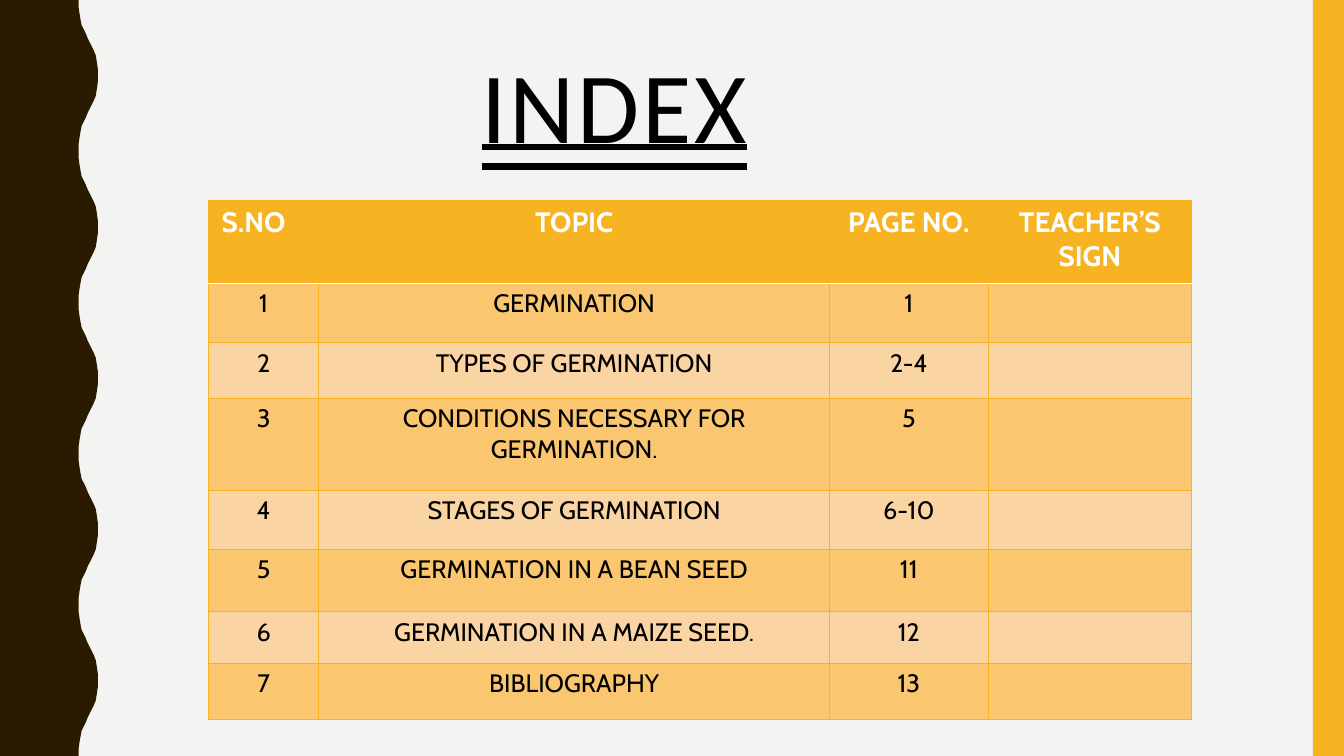
import pptx
import pptx.util
import pptx.dml.color
import pptx.enum.shapes
import pptx.enum.text
import pptx.oxml
import pptx.oxml.ns
from dataclasses import dataclass

Inches = pptx.util.Inches
Pt = pptx.util.Pt
CENTER = pptx.enum.text.PP_ALIGN.CENTER


@dataclass(frozen=True)
class Theme:
    """Colours, fonts and type sizes."""
    paper: str = "F3F3F2"
    bark: str = "2A1A00"
    gold: str = "F8B323"
    amber: str = "FAC770"
    peach: str = "FAD4A3"
    ink: str = "000000"
    white: str = "FFFFFF"
    face: str = "Cabin"
    display: str = "Calibri"
    title: int = 72
    head: int = 20
    body: int = 18


THEME = Theme()
HEAD = ("S.NO", "TOPIC", "PAGE NO.", "TEACHER’S SIGN")
TOPICS = (
    ("GERMINATION", "1"),
    ("TYPES OF GERMINATION", "2-4"),
    ("CONDITIONS NECESSARY FOR GERMINATION.", "5"),
    ("STAGES OF GERMINATION", "6-10"),
    ("GERMINATION IN A BEAN SEED", "11"),
    ("GERMINATION IN A MAIZE SEED.", "12"),
    ("BIBLIOGRAPHY", "13"),
)
COLS = (1.09, 5.07, 1.57, 2.02)
ROWS = (0.82, 0.59, 0.55, 0.91, 0.59, 0.62, 0.51, 0.56)
# One swell of the wavy edge, trough to crest: (inset from crest, drop)
SWELL = ((0.19, 0), (0.19, 0.07), (0.18, 0.14), (0.17, 0.2), (0.16, 0.25),
         (0.14, 0.29), (0.12, 0.33), (0.1, 0.38), (0.08, 0.42), (0.06, 0.46),
         (0.04, 0.5), (0.02, 0.55), (0.01, 0.61), (0, 0.68), (0, 0.75))


def color(code):
    """Turn a hex code into a colour."""
    return pptx.dml.color.RGBColor.from_string(code)


def paint(shape, code):
    """Give a shape a flat fill, no line and no shadow."""
    shape.shadow.inherit = False
    shape.fill.solid()
    shape.fill.fore_color.rgb = color(code)
    shape.line.fill.background()


def style(par, face, size, code, bold=False):
    """Centre a paragraph and format its runs."""
    par.alignment = CENTER
    for run in par.runs:
        font = run.font
        font.name, font.size, font.bold = face, Pt(size), bold
        font.color.rgb = color(code)


def add_wave(slide, left, top, width, height):
    """Draw the band with a wavy right edge."""
    step = SWELL[-1][1]
    edge = []
    for k in range(round(height / step)):
        down = k % 2 == 0
        for inset, drop in SWELL if down else SWELL[::-1]:
            y = k * step + (drop if down else step - drop)
            edge.append((Inches(left + width - inset), Inches(top + y)))
    pen = slide.shapes.build_freeform(Inches(left), Inches(top))
    pen.add_line_segments(edge + [(Inches(left), Inches(top + height))])
    paint(pen.convert_to_shape(), THEME.bark)


def add_strip(slide, *box):
    """Draw the gold strip."""
    kind = pptx.enum.shapes.MSO_SHAPE.RECTANGLE
    paint(slide.shapes.add_shape(kind, *map(Inches, box)), THEME.gold)


def add_title(slide, *box):
    """Write the heading with a double underline."""
    frame = slide.shapes.add_textbox(*map(Inches, box)).text_frame
    frame.word_wrap = True
    frame.vertical_anchor = pptx.enum.text.MSO_ANCHOR.TOP
    frame.text = "INDEX"
    par = frame.paragraphs[0]
    par.line_spacing = 0.9
    style(par, THEME.display, THEME.title, THEME.ink)
    run = par.runs[0]
    run.font.underline = pptx.enum.text.MSO_UNDERLINE.DOUBLE_LINE
    run._r.get_or_add_rPr().set("spc", "200")


def add_rules(cell, sides):
    """Set cell borders from a map of side to (colour, points)."""
    props = cell._tc.get_or_add_tcPr()
    for i, side in enumerate("LRTB"):
        code, size = sides[side]
        props.insert(i, pptx.oxml.parse_xml(
            f'<a:ln{side} {pptx.oxml.ns.nsdecls("a")} w="{Pt(size)}">'
            f'<a:solidFill><a:srgbClr val="{code}"/></a:solidFill>'
            f'</a:ln{side}>'))


def add_index(slide, left, top, width, height):
    """Build the index table."""
    data = [HEAD] + [(str(n), topic, page, "")
                     for n, (topic, page) in enumerate(TOPICS, 1)]
    table = slide.shapes.add_table(
        len(ROWS), len(COLS), Inches(left), Inches(top),
        Inches(width), Inches(height)).table
    table.horz_banding = False
    for col, size in zip(table.columns, COLS):
        col.width = Inches(size)
    for row, size in zip(table.rows, ROWS):
        row.height = Inches(size)
    thin, thick = (THEME.gold, 0.5), (THEME.white, 1)
    for r, texts in enumerate(data):
        top_row = r == 0
        back = THEME.gold if top_row else (THEME.peach, THEME.amber)[r % 2]
        size = THEME.head if top_row else THEME.body
        ink = THEME.white if top_row else THEME.ink
        sides = dict.fromkeys("LRTB", thin)
        if r < 2:
            sides["B" if top_row else "T"] = thick
        for c, text in enumerate(texts):
            cell = table.cell(r, c)
            cell.text_frame.text = text
            style(cell.text_frame.paragraphs[0], THEME.face, size, ink, top_row)
            cell.fill.solid()
            cell.fill.fore_color.rgb = color(back)
            add_rules(cell, sides)
    first = table.cell(0, 0)
    first.margin_left, first.margin_right = Inches(0.05), Inches(0.25)


def main():
    """Make the deck and save it."""
    deck = pptx.Presentation()
    deck.slide_width, deck.slide_height = Inches(13.33), Inches(7.5)
    slide = deck.slides.add_slide(deck.slide_layouts[6])
    slide.background.fill.solid()
    slide.background.fill.fore_color.rgb = color(THEME.paper)
    add_wave(slide, 0, 0, 0.97, 7.5)
    add_strip(slide, 13.02, 0, 0.31, 7.5)
    add_title(slide, 0.53, 0.51, 11.13, 1.63)
    add_index(slide, 2.07, 1.99, sum(COLS), sum(ROWS))
    deck.save("out.pptx")


main()
